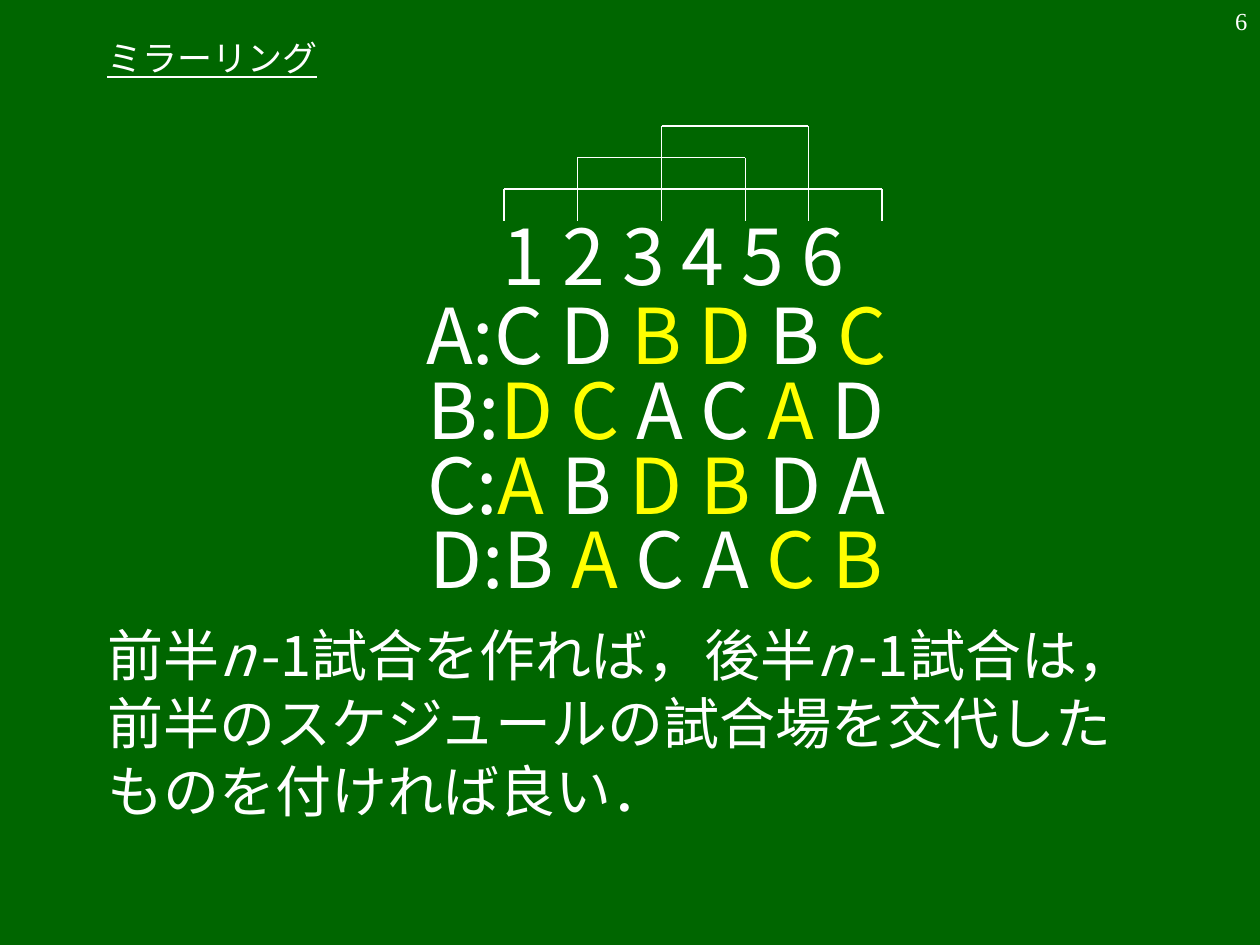
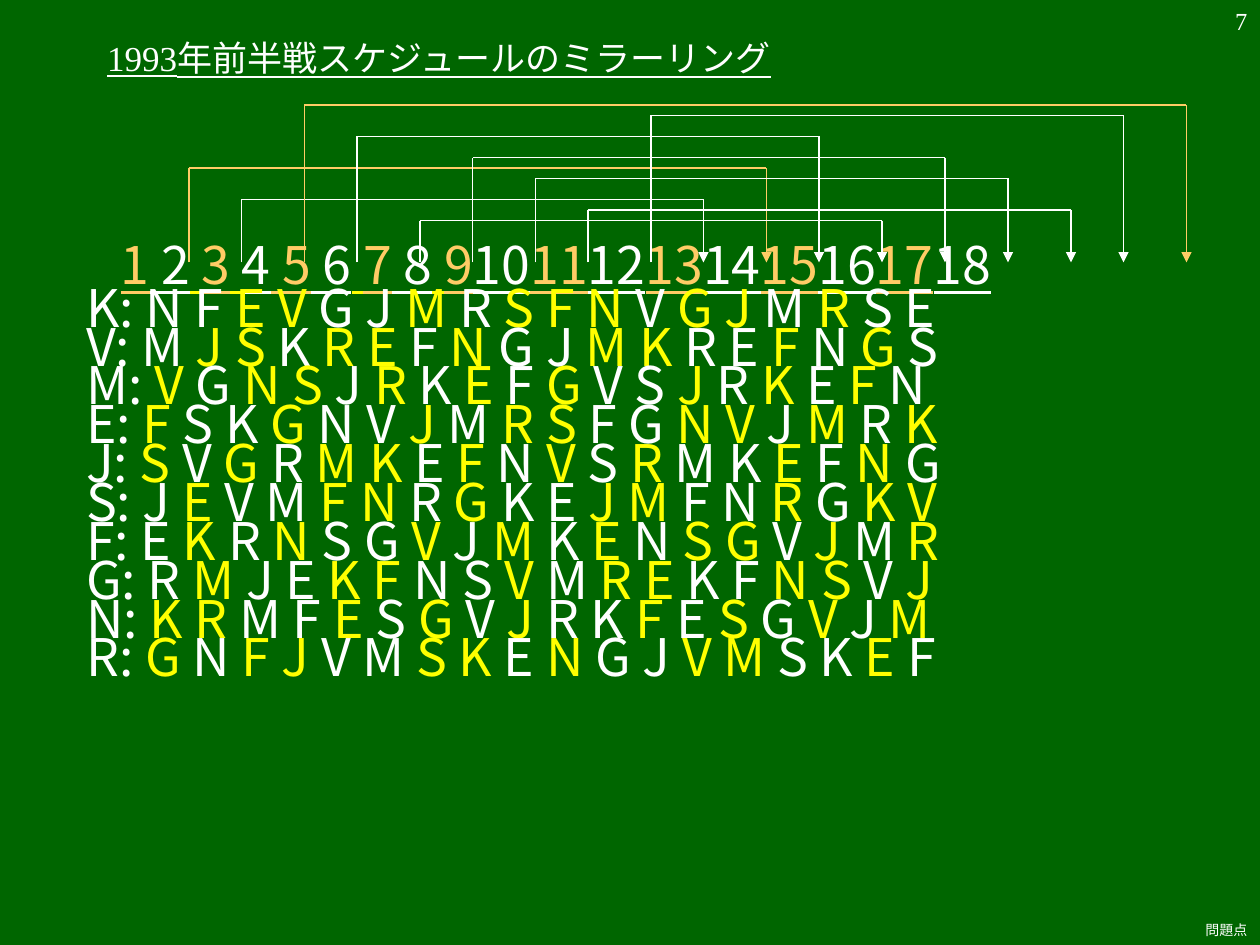
import dataclasses

import lxml.etree
import pptx
import pptx.dml.color
import pptx.enum.shapes
import pptx.enum.text
import pptx.oxml.ns
import pptx.util

ALIGN = pptx.enum.text.PP_ALIGN
ANCHOR = pptx.enum.text.MSO_ANCHOR


@dataclasses.dataclass(frozen=True)
class Theme:
    board: str = "006600"
    chalk: str = "FFFFFF"
    away: str = "FFFF00"
    odd_round: str = "FFCC66"
    serif: str = "Times New Roman"
    sans: str = "Noto Sans CJK JP"
    title_size: float = 20
    number_size: float = 14
    note_size: float = 8
    large_size: float = 44
    text_size: float = 32
    gap_size: float = 20
    table_size: float = 29.6


class Deck:
    """Hold the style and the current slide, and draw each kind of element."""

    EMU_PER_PX = 7620

    def __init__(self, theme):
        self.theme = theme
        self.presentation = pptx.Presentation()
        self.presentation.slide_width = self.px(1200)
        self.presentation.slide_height = self.px(900)
        self.paint(self.presentation.slide_master.background.fill, theme.board)
        self.slide = None

    def px(self, length):
        return pptx.util.Emu(length * self.EMU_PER_PX)

    def paint(self, fill, color):
        fill.solid()
        fill.fore_color.rgb = pptx.dml.color.RGBColor.from_string(color)

    def start(self, title, number):
        layout = self.presentation.slide_layouts[1]
        self.slide = self.presentation.slides.add_slide(layout)
        heading = self.frame(self.slide.shapes.title, (90, 40, 770, 30), ANCHOR.MIDDLE)
        line = self.line(heading)
        self.run(line, title, self.theme.title_size, font=self.theme.serif, underline=True)
        self.label(str(number), (950, 0, 250, 60), self.theme.number_size, ALIGN.RIGHT)

    def frame(self, shape, box, anchor=ANCHOR.TOP):
        shape.left, shape.top, shape.width, shape.height = map(self.px, box)
        frame = shape.text_frame
        frame.word_wrap = True
        frame.auto_size = pptx.enum.text.MSO_AUTO_SIZE.NONE
        frame.vertical_anchor = anchor
        frame.margin_left = frame.margin_right = self.px(12)
        frame.margin_top = frame.margin_bottom = self.px(6)
        return frame

    def body(self, box):
        return self.frame(self.slide.placeholders[1], box)

    def label(self, text, box, size, align, anchor=ANCHOR.TOP):
        holder = self.slide.shapes.add_textbox(0, 0, 0, 0)
        line = self.line(self.frame(holder, box, anchor), align=align)
        self.run(line, text, size, font=self.theme.serif)

    def line(self, frame, align=ALIGN.LEFT, spacing=1.0, before=0, indent=0):
        first = frame.paragraphs[0]
        paragraph = frame.add_paragraph() if first.runs else first
        properties = paragraph._p.get_or_add_pPr()
        properties.set("marL", str(self.px(indent)))
        properties.set("indent", "0")
        lxml.etree.SubElement(properties, pptx.oxml.ns.qn("a:buNone"))
        paragraph.alignment = align
        paragraph.line_spacing = spacing
        paragraph.space_before = pptx.util.Pt(before)
        return paragraph

    def run(self, line, text, size, color=None, font=None, underline=False, italic=False):
        run = line.add_run()
        run.text = text
        run.font.size = pptx.util.Pt(size)
        run.font.name = font or self.theme.sans
        run.font.underline = underline
        run.font.italic = italic
        self.paint(run.font.fill, color or self.theme.chalk)
        east_asian = lxml.etree.SubElement(run._r.get_or_add_rPr(), pptx.oxml.ns.qn("a:ea"))
        east_asian.set("typeface", self.theme.sans)

    def schedule(self, frame, rows, size, **layout):
        for row in rows:
            line = self.line(frame, **layout)
            for index, games in enumerate(row.replace("]", "[").split("[")):
                if games:
                    color = self.theme.away if index % 2 else self.theme.chalk
                    self.run(line, games, size, color)

    def stroke(self, start, end, color, weight, arrow=False):
        connector = self.slide.shapes.add_connector(
            pptx.enum.shapes.MSO_CONNECTOR.STRAIGHT, *map(self.px, start + end))
        self.paint(connector.line.fill, color)
        connector.line.width = pptx.util.Pt(weight)
        if arrow:
            tail = lxml.etree.SubElement(connector.line._get_or_add_ln(),
                                         pptx.oxml.ns.qn("a:tailEnd"))
            tail.set("type", "triangle")
        lxml.etree.SubElement(connector._element.spPr, pptx.oxml.ns.qn("a:effectLst"))

    def bracket(self, left, right, top, foot, color=None, weight=0.75, arrow=False):
        color = color or self.theme.chalk
        self.stroke((left, foot), (left, top), color, weight)
        self.stroke((left, top), (right, top), color, weight)
        self.stroke((right, top), (right, foot), color, weight, arrow)


def mirroring(deck):
    theme = deck.theme
    deck.start("ミラーリング", 6)
    body = deck.body((90, 193, 1070, 637))
    rounds = deck.line(body, align=ALIGN.CENTER, indent=33)
    deck.run(rounds, "1 2 3 4 5 6", theme.large_size)
    games = ("A:C D [B D] B [C]", "B:[D C] A C [A ]D",
             "C:[A] B [D B] D A", "D:B [A] C A [C B]")
    deck.schedule(body, games, theme.large_size, align=ALIGN.CENTER, spacing=0.6, before=11)

    rule = deck.line(body, spacing=1.1, before=8)
    for before_n, after_n in (("前半", "-1試合を作れば，後半"), ("", "-1試合は，")):
        if before_n:
            deck.run(rule, before_n, theme.text_size)
        deck.run(rule, "n", theme.text_size, italic=True)
        deck.run(rule, " ", theme.gap_size, italic=True)
        deck.run(rule, after_n, theme.text_size)
    for sentence in ("前半のスケジュールの試合場を交代した", "ものを付ければ良い．"):
        deck.run(deck.line(body, spacing=0.8, before=8), sentence, theme.text_size)

    for left, right, top in ((480, 840, 180), (550, 710, 150), (630, 770, 120)):
        deck.bracket(left, right, top, foot=210)


def season_1993(deck):
    theme = deck.theme
    deck.start("1993年前半戦スケジュールのミラーリング", 7)
    body = deck.body((70, 232, 1080, 428))
    rounds = deck.line(body, spacing=0.7, indent=33)
    for number in range(1, 19):
        color = theme.odd_round if number % 2 else theme.chalk
        if 1 < number < 10:
            gap_color = theme.away if number in (3, 4, 7, 9) else color
            deck.run(rounds, " ", theme.table_size, gap_color, underline=True)
        deck.run(rounds, str(number), theme.table_size, color, underline=True)
    games = (
        "K: N F [E V] G J [M] R [S F N] V [G J] M [R] S E",
        "V: M [J S] K [R E] F [N] G J [M K] R E [F] N [G] S",
        "M: [V] G [N S] J [R] K [E] F[ G ]V S [J] R [K] E[ F] N",
        "E: [F ]S K [G] N V[ J] M [R S] F G [N V] J [M ]R [K]",
        "J: [S] V[ G ]R [M K] E[ F] N [V] S [R] M K [E] F [N] G",
        "S: J [E] V M [F N] R [G] K E [J M] F N[ R] G [K V]",
        "F: E [K] R [N ]S G [V] J [M] K [E] N [S G] V [J] M [R]",
        "G: R[ M] J E [K F] N S [V] M [R E] K F [N S] V [J]",
        "N: [K R] M F [E ]S [G] V [J] R K [F] E [S] G [V] J [M]",
        "R: [G] N [F J] V M [S K] E [N] G J [V M] S K [E] F",
    )
    deck.schedule(body, games, theme.table_size, spacing=0.4, before=8)

    mirrored_rounds = (
        (180, 730, 160, theme.odd_round, 1),
        (230, 670, 190),
        (290, 1130, 100, theme.odd_round),
        (340, 780, 130, theme.chalk, 1),
        (400, 840, 210),
        (450, 900, 150),
        (510, 960, 170),
        (560, 1020, 200),
        (620, 1070, 110),
    )
    for left, right, top, *style in mirrored_rounds:
        deck.bracket(left, right, top, 250, *style, arrow=True)
    deck.label("問題点", (1136, 871, 64, 29), theme.note_size, ALIGN.CENTER, ANCHOR.MIDDLE)


def main():
    deck = Deck(Theme())
    mirroring(deck)
    season_1993(deck)
    deck.presentation.save("out.pptx")


if __name__ == "__main__":
    main()
